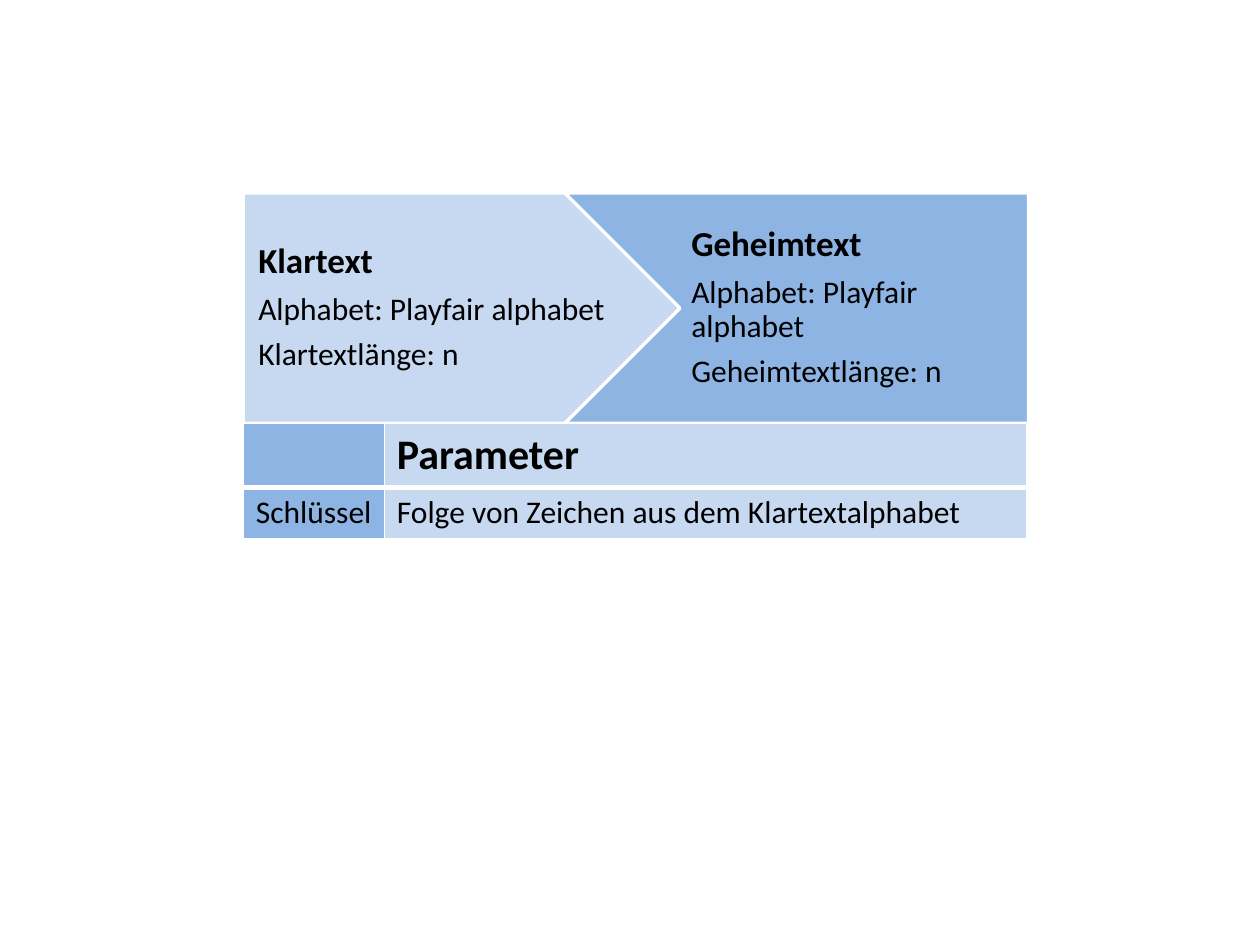
from lxml import etree
from pptx import Presentation
from pptx.dml.color import RGBColor
from pptx.enum.shapes import MSO_SHAPE as SHAPE
from pptx.enum.text import MSO_ANCHOR as ANCHOR, PP_ALIGN as ALIGN
from pptx.oxml.ns import qn
from pptx.util import Pt

LIGHT, MID, WHITE = "C6D9F1", "8EB4E3", "FFFFFF"


def rgb(value):
    return RGBColor.from_string(value)


def write(p, text, size=18, bold=False, spacing=None, after=None):
    p.alignment = ALIGN.LEFT
    p.line_spacing = spacing
    if after is not None:
        p.space_after = Pt(after)
    r = p.add_run()
    r.text = text
    r.font.name = "Calibri"
    r.font.size = Pt(size)
    r.font.bold = bold
    r.font.color.rgb = rgb("000000")


prs = Presentation()
prs.slide_width, prs.slide_height = Pt(720), Pt(540)
s = prs.slides.add_slide(prs.slide_layouts[6])

left, right = 139, 586.8
top, height = 110.2, 131.8

# Plaintext and ciphertext arrows
arrows = [
    (SHAPE.PENTAGON, left, 283.7, LIGHT, 8.6,
     ["Klartext", "Alphabet: Playfair alphabet", "Klartextlänge: n"]),
    (SHAPE.CHEVRON, 322.6, 331.9, MID, 6.5,
     ["Geheimtext", "Alphabet: Playfair alphabet", "Geheimtextlänge: n"]),
]
for kind, x, width, color, inset, lines in arrows:
    sp = s.shapes.add_shape(kind, Pt(x), Pt(top), Pt(width), Pt(height))
    sp.adjustments[0] = 0.5
    sp.shadow.inherit = False
    sp.fill.solid()
    sp.fill.fore_color.rgb = rgb(color)
    sp.line.color.rgb = rgb(WHITE)
    sp.line.width = Pt(2)
    tf = sp.text_frame
    tf.word_wrap = True
    tf.vertical_anchor = ANCHOR.MIDDLE
    tf.margin_left, tf.margin_right = Pt(inset), Pt(2.2)
    tf.margin_top = tf.margin_bottom = Pt(4.3)
    for i, line in enumerate(lines):
        p = tf.add_paragraph() if i else tf.paragraphs[0]
        head = i == 0
        write(p, line, size=20 if head else 18, bold=head,
              spacing=0.9, after=7 if head else 6.3)

# White block that squares off the chevron's tip
sp = s.shapes.add_shape(SHAPE.RECTANGLE, Pt(right), Pt(83), Pt(67.7), Pt(175.7))
sp.shadow.inherit = False
sp.fill.solid()
sp.fill.fore_color.rgb = rgb(WHITE)
sp.line.fill.background()

# Parameter table
col_widths, row_heights = [80.6, 367.2], [34, 29.3]
table = s.shapes.add_table(2, 2, Pt(left), Pt(top + height), Pt(sum(col_widths)),
                           Pt(sum(row_heights))).table
table.first_row = table.horz_banding = False
for col, width in zip(table.columns, col_widths):
    col.width = Pt(width)
for row, row_height in zip(table.rows, row_heights):
    row.height = Pt(row_height)

rows = [["", "Parameter"],
        ["Schlüssel", "Folge von Zeichen aus dem Klartextalphabet"]]
for i, texts in enumerate(rows):
    head = i == 0
    for j, text in enumerate(texts):
        cell = table.cell(i, j)
        # Thin white borders, a thick one between the rows
        tc_pr = cell._tc.get_or_add_tcPr()
        thick = "lnB" if head else "lnT"
        for side in ("lnL", "lnR", "lnT", "lnB"):
            ln = etree.SubElement(tc_pr, qn("a:" + side),
                                  w=str(Pt(3 if side == thick else 0.96)))
            fill = etree.SubElement(ln, qn("a:solidFill"))
            etree.SubElement(fill, qn("a:srgbClr"), val=WHITE)
        cell.fill.solid()
        cell.fill.fore_color.rgb = rgb([MID, LIGHT][j])
        if text:
            write(cell.text_frame.paragraphs[0], text,
                  size=24 if head else 18, bold=head)

prs.save("out.pptx")
